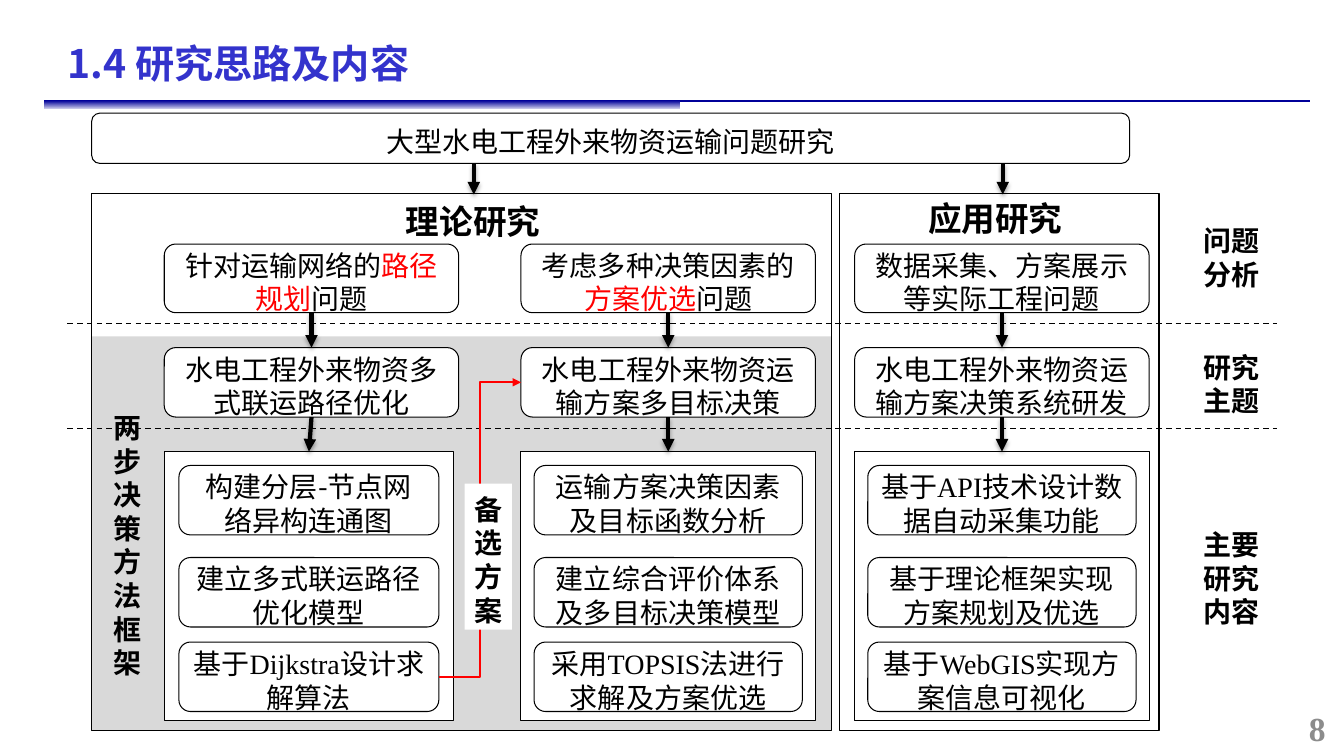
from lxml import etree
from pptx import Presentation
from pptx.dml.color import RGBColor
from pptx.enum.dml import MSO_LINE
from pptx.enum.shapes import MSO_CONNECTOR, MSO_SHAPE
from pptx.enum.text import MSO_ANCHOR, MSO_AUTO_SIZE, PP_ALIGN
from pptx.oxml import parse_xml
from pptx.oxml.ns import nsdecls, qn
from pptx.util import Cm, Pt

BLACK = RGBColor(0x00, 0x00, 0x00)
WHITE = RGBColor(0xFF, 0xFF, 0xFF)
RED = RGBColor(0xFF, 0x00, 0x00)
GREY = RGBColor(0xD9, 0xD9, 0xD9)
NAVY = RGBColor(0x00, 0x00, 0x99)
PALE = RGBColor(0xC6, 0xC6, 0xE8)
TITLE_BLUE = RGBColor(0x33, 0x33, 0xCC)
PAGE_GREY = RGBColor(0x8C, 0x8C, 0x8C)
CJK = "Noto Sans CJK SC"
SERIF = "Times New Roman"
COLUMN_W, PROBLEM_H, BOX_H, GROUP_H = 7.42, 1.73, 1.75, 6.78
THEME_DY, GROUP_DY = 2.61, 5.23
ITEM_DY = (5.58, 7.9, 10.03)

COLUMNS = [
    (4.14, 7.29, WHITE, "针对运输网络的|*路径规划|问题", "水电工程外来物资多式联运路径优化",
     ["构建分层-节点网络异构连通图", "建立多式联运路径优化模型", "基于|Dijkstra设计求解算法"]),
    (13.13, 7.42, WHITE, "考虑多种决策因素的|*方案优选|问题", "水电工程外来物资运输方案多目标决策",
     ["运输方案决策因素及目标函数分析", "建立综合评价体系及多目标决策模型", "采用TOPSIS法进行求解及方案优选"]),
    (21.54, 7.42, None, "数据采集、方案展示等实际工程问题", "水电工程外来物资运输方案决策系统研发",
     ["基于|API技术|设计数据自动采集功能", "基于理论框架实现方案规划及优选", "基于|WebGIS实现方案信息可视化"]),
]


def write(sp, text, size=20, color=BLACK, bold=False, align=PP_ALIGN.LEFT):
    """Write paragraphs split by newlines and runs split by bars; a star marks red."""
    tf = sp.text_frame
    shift = 0.0042 * size
    tf.margin_top, tf.margin_bottom = Cm(0.13 + shift), Cm(0.13 - shift)
    for i, line in enumerate(text.split("\n")):
        p = tf.add_paragraph() if i else tf.paragraphs[0]
        p.alignment = align
        p.line_spacing = Pt(1.2 * size)
        for part in line.split("|"):
            r = p.add_run()
            r.text = part.lstrip("*")
            r.font.size = Pt(size)
            r.font.bold = bold
            r.font.color.rgb = RED if part.startswith("*") else color
            has_latin = any(c.isascii() and c.isalpha() for c in part)
            r.font.name = SERIF if has_latin else CJK
            etree.SubElement(r.font._element, qn("a:ea")).set("typeface", CJK)


def add_box(s, kind, x, y, w, h, fill=None, line=BLACK, text=None):
    """Add a flat shape with optional fill, outline and centred text."""
    sp = s.shapes.add_shape(kind, Cm(x), Cm(y), Cm(w), Cm(h))
    sp.shadow.inherit = False
    if fill is None:
        sp.fill.background()
    else:
        sp.fill.solid()
        sp.fill.fore_color.rgb = fill
    if line is None:
        sp.line.fill.background()
    else:
        sp.line.color.rgb = line
        sp.line.width = Pt(0.75)
    if text:
        sp.text_frame.word_wrap = True
        sp.text_frame.vertical_anchor = MSO_ANCHOR.MIDDLE
        write(sp, text, align=PP_ALIGN.CENTER)
    return sp


def add_label(s, x, y, w, h, text, size=20, wrap=False, color=BLACK):
    """Add a bold heading in a text box."""
    sp = s.shapes.add_textbox(Cm(x), Cm(y), Cm(w), Cm(h))
    sp.text_frame.word_wrap = wrap
    sp.text_frame.auto_size = MSO_AUTO_SIZE.SHAPE_TO_FIT_TEXT
    write(sp, text, size, color, True)
    return sp


def add_line(s, ends, color, width, kind=MSO_CONNECTOR.STRAIGHT, dash=None, arrow=False, shadow=False):
    """Add a connector with optional dash, arrowhead and soft shadow."""
    cx = s.shapes.add_connector(kind, *(Cm(v) for v in ends))
    cx.line.color.rgb = color
    cx.line.width = Pt(width)
    if dash:
        cx.line.dash_style = dash
    if arrow:
        etree.SubElement(cx.line._get_or_add_ln(), qn("a:tailEnd")).set("type", "triangle")
    inner = ('<a:outerShdw blurRad="39370" dist="22860" dir="5400000" rotWithShape="0">'
             '<a:srgbClr val="000000"><a:alpha val="35000"/></a:srgbClr></a:outerShdw>') if shadow else ""
    cx._element.spPr.append(parse_xml(f'<a:effectLst {nsdecls("a")}>{inner}</a:effectLst>'))
    return cx


def add_arrow(s, ends):
    """Add a thick black arrow."""
    return add_line(s, ends, BLACK, 3, arrow=True, shadow=True)


def join_down(s, upper, lower):
    """Join the bottom of one box to the top of the next."""
    cx = add_arrow(s, (0, 0, 1, 1))
    cx.begin_connect(upper, 2)
    cx.end_connect(lower, 0)


def add_header(s, x, y, w):
    """Place the title and the two-part rule below it."""
    add_line(s, (x, y, x + w, y), NAVY, 1.5)
    bar = add_box(s, MSO_SHAPE.RECTANGLE, x, y, 16.03, 0.2, NAVY, None)
    bar.fill.gradient()
    bar.fill.gradient_angle = 270
    for stop, color, position in zip(bar.fill.gradient_stops, (NAVY, PALE), (0, 1)):
        stop.color.rgb = color
        stop.position = position
    add_label(s, x + 0.33, y - 1.8, 15.44, 1.45, "1.4 研究思路及内容", 28, True, TITLE_BLUE)


def add_panels(s, x, y, h):
    """Place the theory and application panels under the overall topic."""
    add_box(s, MSO_SHAPE.RECTANGLE, x, y + 3.6, 18.64, h - 3.6, GREY, None)
    add_box(s, MSO_SHAPE.RECTANGLE, x, y, 18.64, h)
    add_box(s, MSO_SHAPE.RECTANGLE, x + 18.85, y, 8.05, h)
    add_box(s, MSO_SHAPE.ROUNDED_RECTANGLE, x, y - 2.03, 26.16, 1.27,
            text="大型水电工程外来物资运输问题研究")
    for arrow_x in (x + 9.63, x + 22.96):
        add_arrow(s, (arrow_x, y - 0.76, arrow_x, y + 0.02))
    add_label(s, x + 7.67, y - 0.05, 3.96, 1.27, "理论研究", 24)
    add_label(s, x + 20.83, y - 0.13, 3.96, 1.27, "应用研究", 24)


def add_column(s, y, x, group_w, fill, problem, theme, items):
    """Place one research column and return its theme box and last item."""
    rounded = MSO_SHAPE.ROUNDED_RECTANGLE
    group = add_box(s, MSO_SHAPE.RECTANGLE, x, y + GROUP_DY, group_w, GROUP_H, fill)
    problem_box = add_box(s, rounded, x, y, COLUMN_W, PROBLEM_H, fill, text=problem)
    theme_box = add_box(s, rounded, x, y + THEME_DY, COLUMN_W, BOX_H, fill, text=theme)
    pad = 0.33 if group_w == COLUMN_W else 0.37
    for dy, text in zip(ITEM_DY, items):
        item = add_box(s, rounded, x + pad, y + dy, group_w - 2 * pad, BOX_H, fill, text=text)
    join_down(s, problem_box, theme_box)
    join_down(s, theme_box, group)
    return theme_box, item


def add_stages(s, x, y, w):
    """Place the dashed stage dividers and the stage names on the right."""
    for dy in (0, 2.65):
        add_line(s, (x, y + dy, x + w, y + dy), BLACK, 1, dash=MSO_LINE.DASH)
    for dy, h, text in ((-2.72, 1.96, "问题\n分析"), (0.46, 1.96, "研究\n主题"),
                        (4.93, 2.82, "主要\n研究\n内容")):
        add_label(s, x + 28.37, y + dy, 1.96, h, text)


def add_candidate_link(s, source, target, x, y):
    """Link the route solver to the decision theme and label the link."""
    cx = add_line(s, (0, 1, 1, 0), RED, 1.5, MSO_CONNECTOR.ELBOW, arrow=True)
    cx.begin_connect(source, 3)
    cx.end_connect(target, 1)
    sp = add_box(s, MSO_SHAPE.RECTANGLE, x, y, 1.19, 3.68, WHITE, None)
    sp.text_frame.word_wrap = True
    sp.text_frame.vertical_anchor = MSO_ANCHOR.TOP
    write(sp, "备选方案", bold=True)


def add_page_number(s, x, y, w, h):
    """Place the page number."""
    tf = s.shapes.add_textbox(Cm(x), Cm(y), Cm(w), Cm(h)).text_frame
    tf.word_wrap = True
    tf.vertical_anchor = MSO_ANCHOR.MIDDLE
    p = tf.paragraphs[0]
    p.text = "8"
    p.alignment = PP_ALIGN.RIGHT
    font = p.runs[0].font
    font.name, font.size, font.bold = SERIF, Pt(24), True
    font.color.rgb = PAGE_GREY


def main():
    """Build the research outline slide."""
    prs = Presentation()
    prs.slide_width, prs.slide_height = Cm(33.87), Cm(19.05)
    s = prs.slides.add_slide(prs.slide_layouts[6])
    add_header(s, 1.12, 2.54, 31.9)
    add_panels(s, 2.31, 4.88, 13.54)
    (_, solver), (decision, _), _ = [add_column(s, 6.15, *column) for column in COLUMNS]
    add_stages(s, 1.7, 8.15, 30.48)
    add_label(s, 2.62, 10.13, 1.17, 7.09, "两步决策方法框架", wrap=True)
    add_candidate_link(s, solver, decision, 11.71, 12.19)
    add_page_number(s, 26.04, 17.83, 7.62, 1.02)
    prs.save("out.pptx")


if __name__ == "__main__":
    main()
